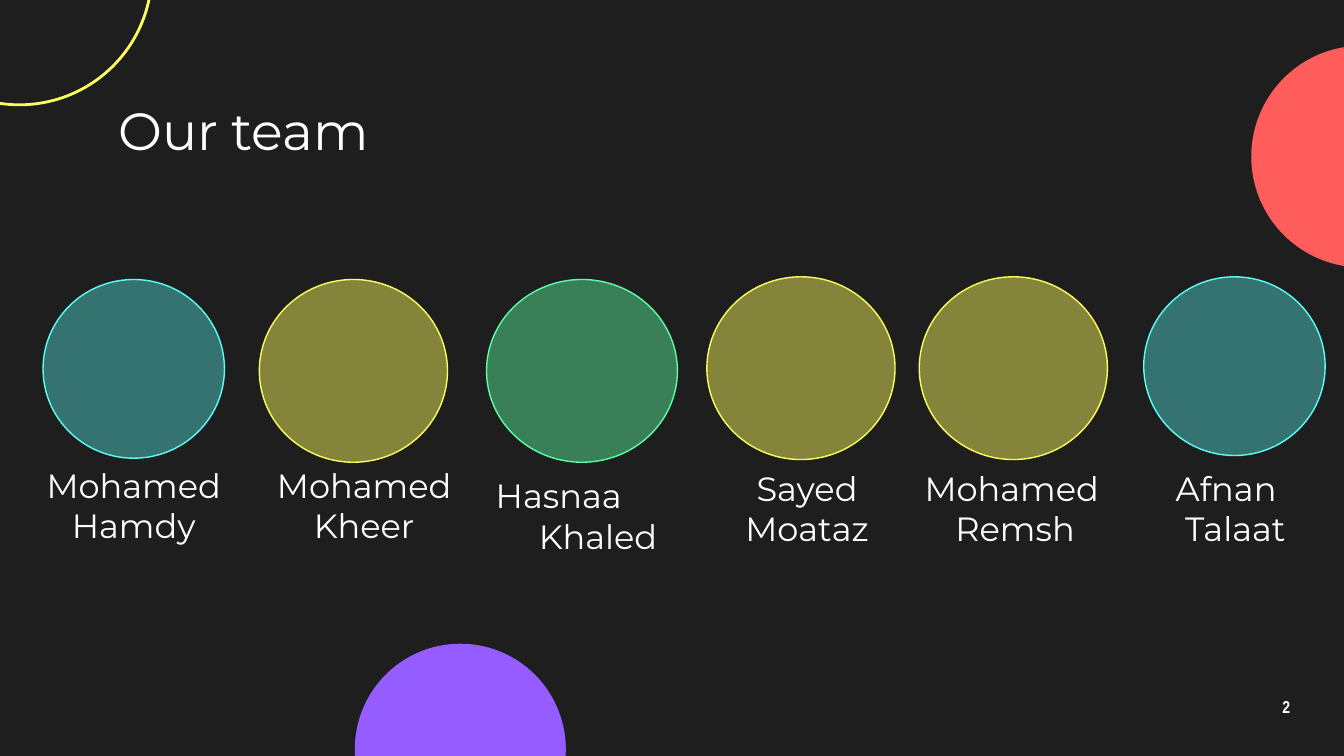
import pptx
import pptx.util
import pptx.dml.color
import pptx.enum.shapes
import pptx.enum.text
import pptx.oxml.ns
import lxml.etree

Inches = pptx.util.Inches
RGBColor = pptx.dml.color.RGBColor
PP_ALIGN = pptx.enum.text.PP_ALIGN

DARK = RGBColor(0x1E, 0x1E, 0x1E)
WHITE = RGBColor(0xFF, 0xFF, 0xFF)
RED = RGBColor(0xFF, 0x5C, 0x5C)
PURPLE = RGBColor(0x95, 0x5C, 0xFF)
YELLOW = RGBColor(0xFD, 0xFF, 0x5C)
GREEN = RGBColor(0x5C, 0xFF, 0xA6)
CYAN = RGBColor(0x5C, 0xFF, 0xF8)

deck = pptx.Presentation()
deck.slide_width, deck.slide_height = Inches(10), Inches(10 * 9 / 16)
slide = deck.slides.add_slide(deck.slide_layouts[5])
slide.background.fill.solid()
slide.background.fill.fore_color.rgb = DARK


def add_circle(box, fill=None, opacity=100, line=None, line_width=0.75):
    circle = slide.shapes.add_shape(
        pptx.enum.shapes.MSO_SHAPE.OVAL, *[Inches(v) for v in box])
    circle.shadow.inherit = False
    if fill is None:
        circle.fill.background()
    else:
        circle.fill.solid()
        circle.fill.fore_color.rgb = fill
        if opacity < 100:
            color = circle.fill._xPr.find(".//" + pptx.oxml.ns.qn("a:srgbClr"))
            lxml.etree.SubElement(
                color, pptx.oxml.ns.qn("a:alpha"), val=str(opacity * 1000))
    if line is None:
        circle.line.fill.background()
    else:
        circle.line.color.rgb = line
        circle.line.width = pptx.util.Pt(line_width)


def write_text(holder, box, text, size, font="Montserrat", bold=False,
               align=PP_ALIGN.CENTER, spacing=1.0, indents=None):
    place = dict(zip(("left", "top", "width", "height"), map(Inches, box)))
    for name, value in place.items():
        setattr(holder, name, value)
    frame = holder.text_frame
    frame_format = {
        "word_wrap": True,
        "auto_size": pptx.enum.text.MSO_AUTO_SIZE.NONE,
        "vertical_anchor": pptx.enum.text.MSO_ANCHOR.MIDDLE,
        "margin_left": Inches(0.1), "margin_right": Inches(0.1),
        "margin_top": Inches(0.1), "margin_bottom": Inches(0.1),
    }
    for name, value in frame_format.items():
        setattr(frame, name, value)
    paragraph = frame.paragraphs[0]
    paragraph.text = text
    paragraph.alignment = PP_ALIGN.LEFT if indents else align
    paragraph.line_spacing = spacing
    if indents:
        first_line, second_line = map(Inches, indents)
        properties = paragraph._p.get_or_add_pPr()
        properties.set("marL", str(second_line))
        properties.set("indent", str(first_line - second_line))
    font_format = {"size": pptx.util.Pt(size), "name": font, "bold": bold}
    for run in paragraph.runs:
        for name, value in font_format.items():
            setattr(run.font, name, value)
        run.font.color.rgb = WHITE


add_circle((9.31, 0.34, 1.65, 1.65), fill=RED)
add_circle((2.64, 4.79, 1.57, 1.57), fill=PURPLE)
add_circle((-0.84, -1.19, 1.97, 1.97), line=YELLOW, line_width=1.5)

write_text(slide.shapes.title, (0.78, 0.71, 8.44, 0.51), "Our team", 28,
           align=PP_ALIGN.LEFT)

circle_styles = {
    CYAN: (1.35, 1.33, 38),
    YELLOW: (1.4, 1.36, 46),
    GREEN: (1.42, 1.36, 44),
}
members = [
    ("Mohamed\vHamdy", CYAN, 0.32, 2.08, (0.17, 1.65, 0.5), None),
    ("Mohamed\vKheer", YELLOW, 1.93, 2.08, (1.93, 1.56, 0.5), None),
    ("Hasnaa Khaled", GREEN, 3.62, 2.08, (3.57, 1.62, 0.65), (0.02, 0.34)),
    ("Sayed Moataz", YELLOW, 5.26, 2.06, (5.35, 1.31, 0.54), None),
    ("Mohamed Remsh", YELLOW, 6.84, 2.06, (6.74, 1.62, 0.54), (0.04, 0.27)),
    ("Afnan Talaat", CYAN, 8.51, 2.06, (8.52, 1.34, 0.54), (0.13, 0.2)),
]
for member, color, left, top, label, indents in members:
    width, height, opacity = circle_styles[color]
    add_circle((left, top, width, height), color, opacity, color)
    label_left, label_width, label_height = label
    write_text(slide.shapes.add_textbox(0, 0, 0, 0),
               (label_left, 3.51, label_width, label_height),
               member, 18, indents=indents)

write_text(slide.shapes.add_textbox(0, 0, 0, 0), (9.27, 5.1, 0.6, 0.34),
           "2", 9.2, font="Arial Narrow", bold=True, spacing=0.9)

deck.save("out.pptx")
